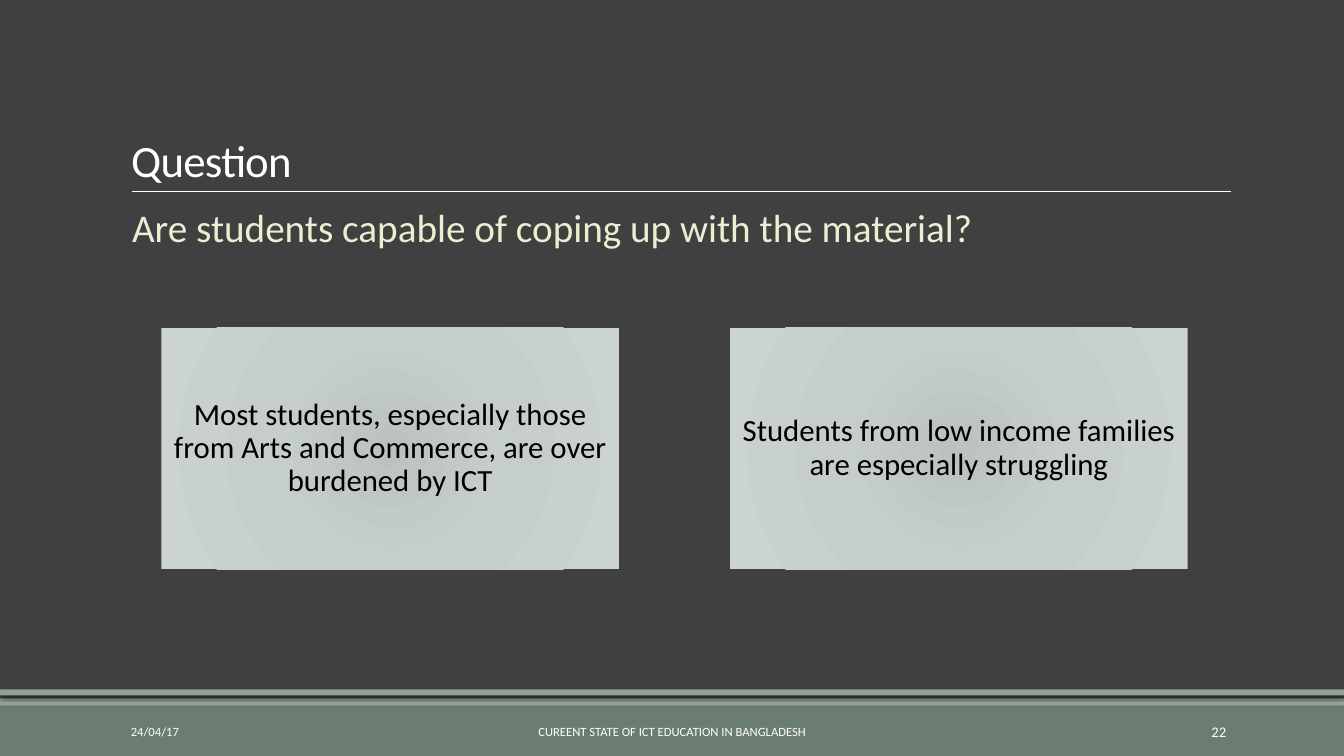
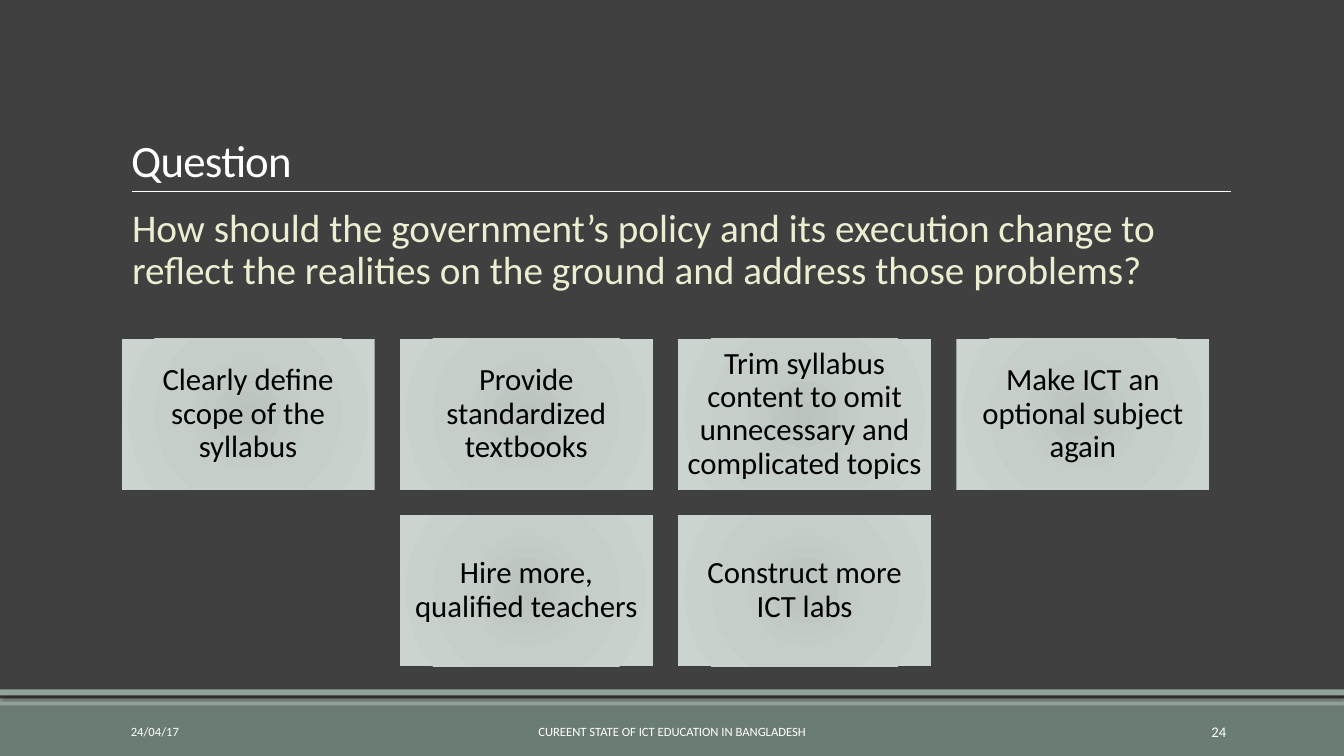
import pptx
import pptx.dml.color
import pptx.enum.shapes
import pptx.enum.text
import pptx.oxml
import pptx.oxml.ns
import pptx.util

Inches = pptx.util.Inches
Pt = pptx.util.Pt
RGBColor = pptx.dml.color.RGBColor
PP_ALIGN = pptx.enum.text.PP_ALIGN
ANCHOR = pptx.enum.text.MSO_ANCHOR
RECTANGLE = pptx.enum.shapes.MSO_SHAPE.RECTANGLE
NAMESPACE = pptx.oxml.ns.nsdecls("a")

FONT = "Calibri"
BACKGROUND = RGBColor(0x40, 0x40, 0x40)
FOOTER_GREEN = RGBColor(0x6B, 0x7D, 0x72)
BAND_GREEN = RGBColor(0x93, 0xA2, 0x99)
QUESTION_YELLOW = RGBColor(0xEC, 0xED, 0xD1)
WHITE = RGBColor(0xFF, 0xFF, 0xFF)
BLACK = RGBColor(0x00, 0x00, 0x00)
CARD_STOPS = [(0, "BAC3BE"), (45, "C6CEC9"), (100, "CCD4CF")]

SLIDE_WIDTH, SLIDE_HEIGHT = 13.33, 7.5
CONTENT_LEFT, CONTENT_WIDTH = 1.2, 11
INDENT = 0.11
RULE_TOP = 1.9
FOOTER_TOP, FOOTER_HEIGHT = 7.06, 0.4

# top, height, colour, has shadow
BANDS = [
    (7, 0.5, FOOTER_GREEN, False),
    (6.93, 0.07, BAND_GREEN, False),
    (6.84, 0.06, BAND_GREEN, True),
]

# card grid: horizontal centre, top, card width, card height, gap
SLIDES = [
    {
        "number": "22",
        "question": "Are students capable of coping up with the material?",
        "grid": (6.69, 3.25, 4.54, 2.4, 1.1),
        "rows": [[
            "Most students, especially those from Arts and Commerce, are over burdened by ICT",
            "Students from low income families are especially struggling",
        ]],
    },
    {
        "number": "24",
        "question": "How should the government’s policy and its execution change to "
                    "reflect the realities on the ground and address those problems?",
        "grid": (6.6, 3.36, 2.51, 1.5, 0.25),
        "rows": [
            [
                "Clearly define scope of the syllabus",
                "Provide standardized textbooks",
                "Trim syllabus content to omit unnecessary and complicated topics",
                "Make ICT an optional subject again",
            ],
            ["Hire more, qualified teachers", "Construct more ICT labs"],
        ],
    },
]


def write_text(shape, text, size, color, alignment, anchor, line_spacing=1.0):
    """Fill a shape with one formatted paragraph and return the paragraph."""
    frame = shape.text_frame
    frame.word_wrap = True
    frame.vertical_anchor = anchor
    paragraph = frame.paragraphs[0]
    paragraph.text = text
    paragraph.alignment = alignment
    paragraph.line_spacing = line_spacing
    paragraph.font.name = FONT
    paragraph.font.size = Pt(size)
    paragraph.font.color.rgb = color
    return paragraph


def add_rectangle(slide, left, top, width, height):
    """Add a rectangle without outline or shadow."""
    shape = slide.shapes.add_shape(
        RECTANGLE, Inches(left), Inches(top), Inches(width), Inches(height))
    shape.shadow.inherit = False
    shape.line.fill.background()
    return shape


presentation = pptx.Presentation()
presentation.slide_width = Inches(SLIDE_WIDTH)
presentation.slide_height = Inches(SLIDE_HEIGHT)
master_fill = presentation.slide_master.background.fill
master_fill.solid()
master_fill.fore_color.rgb = BACKGROUND

for content in SLIDES:
    slide = presentation.slides.add_slide(presentation.slide_layouts[5])

    # Bands and title rule
    for top, height, color, has_shadow in BANDS:
        band = add_rectangle(slide, 0, top, SLIDE_WIDTH, height)
        band.fill.solid()
        band.fill.fore_color.rgb = color
        if has_shadow:
            effects = band._element.spPr.find(pptx.oxml.ns.qn("a:effectLst"))
            effects.append(pptx.oxml.parse_xml(
                f'<a:outerShdw {NAMESPACE} blurRad="{Pt(2)}" dist="{Pt(2)}" dir="5400000">'
                '<a:srgbClr val="000000"><a:alpha val="40000"/></a:srgbClr></a:outerShdw>'))
    rule = slide.shapes.add_connector(
        pptx.enum.shapes.MSO_CONNECTOR.STRAIGHT,
        Inches(CONTENT_LEFT + INDENT), Inches(RULE_TOP),
        Inches(CONTENT_LEFT + INDENT + 10.9), Inches(RULE_TOP))
    rule.line.color.rgb = WHITE
    rule.line.width = Pt(0.5)
    rule._element.spPr.append(pptx.oxml.parse_xml(f"<a:effectLst {NAMESPACE}/>"))

    # Title and question
    title = slide.shapes.title
    title.left, title.top = Inches(CONTENT_LEFT), Inches(0.31)
    title.width, title.height = Inches(CONTENT_WIDTH), Inches(RULE_TOP - 0.31)
    paragraph = write_text(title, "Question", 32, WHITE, PP_ALIGN.LEFT, ANCHOR.BOTTOM, 0.85)
    paragraph.runs[0].font._element.set("spc", "-50")

    question = slide.shapes.add_textbox(
        Inches(CONTENT_LEFT), Inches(2.02), Inches(CONTENT_WIDTH), Inches(1.1))
    paragraph = write_text(question, content["question"], 28, QUESTION_YELLOW,
                           PP_ALIGN.LEFT, ANCHOR.TOP, 0.9)
    question.text_frame.margin_left = Inches(INDENT)
    question.text_frame.margin_right = 0
    paragraph.space_before = Pt(12)
    paragraph.space_after = Pt(2)

    # Footer
    for left, width, text, size, alignment in [
        (CONTENT_LEFT, 2.7, "24/04/17", 9, PP_ALIGN.LEFT),
        (4.03, 5.27, "CUREENT STATE OF ICT EDUCATION IN BANGLADESH", 9, PP_ALIGN.CENTER),
        (10.83, 1.43, content["number"], 10.5, PP_ALIGN.RIGHT),
    ]:
        footer = slide.shapes.add_textbox(
            Inches(left), Inches(FOOTER_TOP), Inches(width), Inches(FOOTER_HEIGHT))
        write_text(footer, text, size, WHITE, alignment, ANCHOR.MIDDLE)

    # Answer cards, each row centred
    center, grid_top, card_width, card_height, gap = content["grid"]
    for row_index, row in enumerate(content["rows"]):
        row_left = center - (len(row) * (card_width + gap) - gap) / 2
        card_top = grid_top + row_index * (card_height + gap)
        for column_index, text in enumerate(row):
            card_left = row_left + column_index * (card_width + gap)
            card = add_rectangle(slide, card_left, card_top, card_width, card_height)
            stops = "".join(
                f'<a:gs pos="{position * 1000}"><a:srgbClr val="{color}"/></a:gs>'
                for position, color in CARD_STOPS)
            card._element.spPr.find(pptx.oxml.ns.qn("a:prstGeom")).addnext(
                pptx.oxml.parse_xml(
                    f'<a:gradFill {NAMESPACE} rotWithShape="1"><a:gsLst>{stops}</a:gsLst>'
                    '<a:path path="circle"><a:fillToRect l="100000" t="100000" '
                    'r="100000" b="100000"/></a:path></a:gradFill>'))
            write_text(card, text, 22, BLACK, PP_ALIGN.CENTER, ANCHOR.MIDDLE, 0.9)
            frame = card.text_frame
            frame.margin_left = frame.margin_right = Inches(0.09)
            frame.margin_top = frame.margin_bottom = Inches(0.09)

presentation.save("out.pptx")
